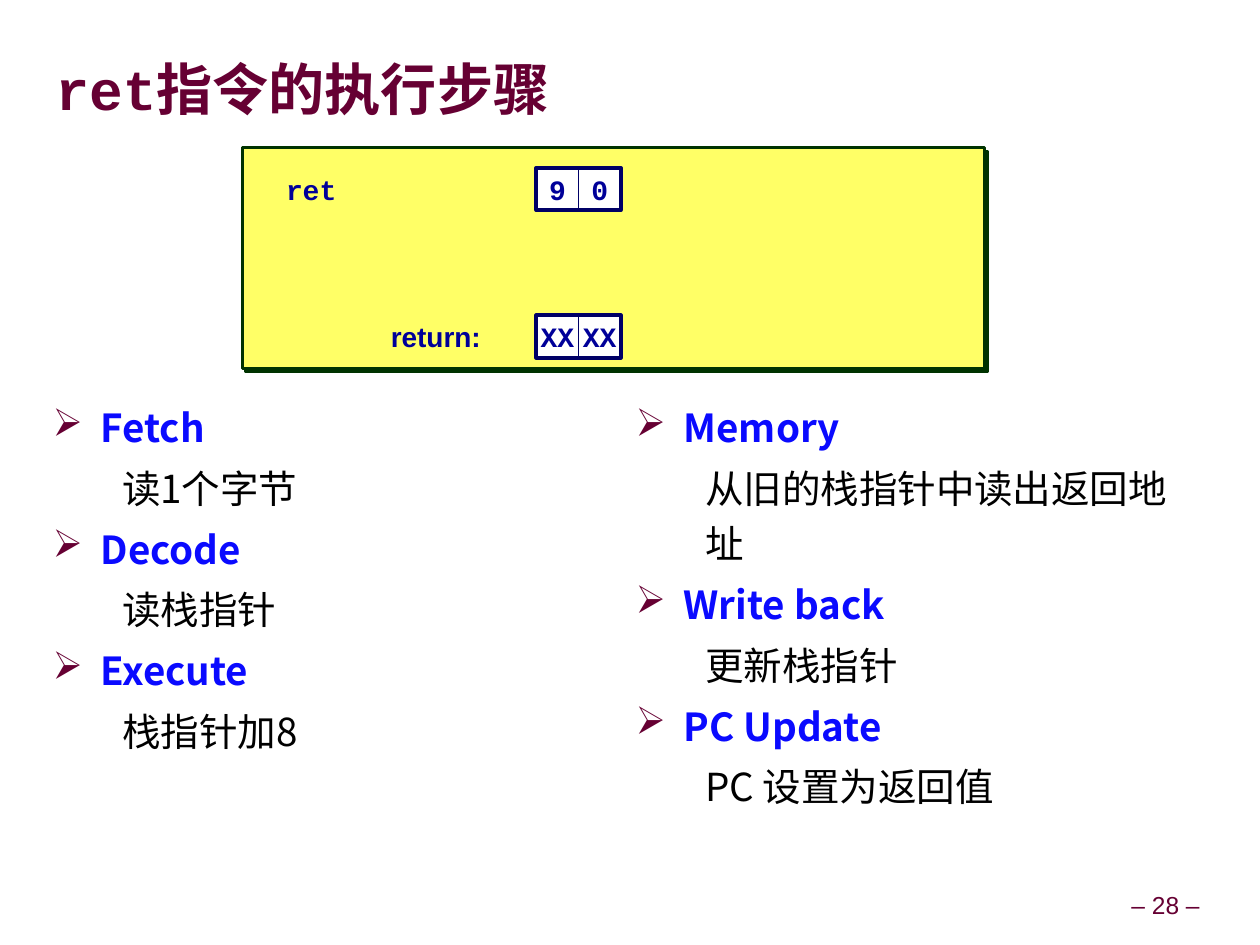
from lxml import etree
from pptx import Presentation
from pptx.dml.color import RGBColor
from pptx.enum.shapes import MSO_SHAPE
from pptx.enum.text import MSO_ANCHOR, PP_ALIGN
from pptx.oxml.ns import qn
from pptx.util import Cm, Pt

RECTANGLE = MSO_SHAPE.RECTANGLE
MIDDLE, TOP = MSO_ANCHOR.MIDDLE, MSO_ANCHOR.TOP
LEFT, CENTER = PP_ALIGN.LEFT, PP_ALIGN.CENTER

MAROON = RGBColor(0x66, 0x00, 0x33)
BLUE = RGBColor(0x0A, 0x0A, 0xFF)
BLACK = RGBColor(0x00, 0x00, 0x00)
WHITE = RGBColor(0xFF, 0xFF, 0xFF)
YELLOW = RGBColor(0xFF, 0xFF, 0x66)
GREEN = RGBColor(0x00, 0x33, 0x00)
NAVY = RGBColor(0x00, 0x00, 0x66)
CODE_BLUE = RGBColor(0x00, 0x00, 0x99)

MONO, SANS, CHINESE = "Courier New", "Arial", "Noto Sans CJK SC"
BYTE_SIZE = 0.85
BYTE_LEFT = 10.8

LEFT_STAGES = [("Fetch", "读1个字节"), ("Decode", "读栈指针"), ("Execute", "栈指针加8")]
RIGHT_STAGES = [
    ("Memory", "从旧的栈指针中读出返回地址"),
    ("Write back", "更新栈指针"),
    ("PC Update", "PC 设置为返回值"),
]


def format_runs(paragraph, font_name, size, color, bold):
    for run in paragraph.runs:
        run.font.name = font_name
        run.font.size = Pt(size)
        run.font.bold = bold
        run.font.color.rgb = color
        east_asian = etree.SubElement(run.font._element, qn("a:ea"))
        east_asian.set("typeface", CHINESE)


def set_margins(text_frame, horizontal, vertical):
    text_frame.margin_left = text_frame.margin_right = Cm(horizontal)
    text_frame.margin_top = text_frame.margin_bottom = Cm(vertical)


def add_text(slide, text, left, top, width, height, font_name, size, color,
             bold=True, alignment=LEFT, margin=0.25):
    shape = slide.shapes.add_textbox(Cm(left), Cm(top), Cm(width), Cm(height))
    text_frame = shape.text_frame
    text_frame.word_wrap = False
    text_frame.vertical_anchor = MIDDLE
    set_margins(text_frame, margin, min(margin, 0.13))
    text_frame.text = text
    paragraph = text_frame.paragraphs[0]
    paragraph.alignment = alignment
    format_runs(paragraph, font_name, size, color, bold)
    return paragraph


def add_rectangle(shapes, left, top, width, height, fill, line, line_width):
    shape = shapes.add_shape(RECTANGLE, Cm(left), Cm(top), Cm(width), Cm(height))
    shape.shadow.inherit = False
    if fill is None:
        shape.fill.background()
    else:
        shape.fill.solid()
        shape.fill.fore_color.rgb = fill
    shape.line.color.rgb = line
    shape.line.width = Pt(line_width)
    return shape


def add_hard_shadow(shape, color, distance):
    effects = shape._element.spPr.find(qn("a:effectLst"))
    shadow = etree.SubElement(effects, qn("a:outerShdw"), dist=str(Pt(distance)),
                              dir="2700000", algn="ctr", rotWithShape="0")
    etree.SubElement(shadow, qn("a:srgbClr"), val=str(color))


def add_byte(slide, top, digits):
    shapes = slide.shapes.add_group_shape().shapes
    for index, digit in enumerate(digits):
        cell = add_rectangle(shapes, BYTE_LEFT + index * BYTE_SIZE, top,
                             BYTE_SIZE, BYTE_SIZE, WHITE, NAVY, 0.5)
        text_frame = cell.text_frame
        text_frame.word_wrap = False
        text_frame.vertical_anchor = MIDDLE
        set_margins(text_frame, 0, 0)
        text_frame.text = digit
        text_frame.paragraphs[0].alignment = CENTER
        format_runs(text_frame.paragraphs[0], MONO, 16, CODE_BLUE, True)
    add_rectangle(shapes, BYTE_LEFT, top, len(digits) * BYTE_SIZE, BYTE_SIZE,
                  None, NAVY, 2.25)


def set_indent(paragraph, left, first_line):
    properties = paragraph._p.get_or_add_pPr()
    properties.set("marL", str(Cm(left)))
    properties.set("indent", str(Cm(first_line)))
    return properties


def add_bullet(paragraph):
    properties = set_indent(paragraph, 0.97, -0.97)
    color = etree.SubElement(properties, qn("a:buClr"))
    etree.SubElement(color, qn("a:srgbClr"), val=str(MAROON))
    etree.SubElement(properties, qn("a:buChar"), char="➢")


def add_stages(slide, left, stages):
    shape = slide.shapes.add_textbox(Cm(left), Cm(7.82), Cm(11.3), Cm(10.03))
    text_frame = shape.text_frame
    text_frame.word_wrap = True
    text_frame.vertical_anchor = TOP
    text_frame.text = "\n".join(line for stage in stages for line in stage)
    for index, paragraph in enumerate(text_frame.paragraphs):
        is_heading = index % 2 == 0
        if is_heading:
            add_bullet(paragraph)
        else:
            paragraph.level = 1
            set_indent(paragraph, 1.4, 0)
        paragraph.line_spacing = 1.2
        if index:
            paragraph.space_before = Pt(3)
        format_runs(paragraph, CHINESE, 22, BLUE if is_heading else BLACK, is_heading)


def main():
    presentation = Presentation()
    presentation.slide_width = Cm(25.37)
    presentation.slide_height = Cm(19.02)
    slide = presentation.slides.add_slide(presentation.slide_layouts[6])

    page_number = add_text(slide, "– 28 –", 22.63, 17.86, 1.68, 0.79, SANS, 14,
                           MAROON, bold=False, alignment=CENTER, margin=0.13)
    page_number.line_spacing = 0.9
    add_text(slide, "ret指令的执行步骤", 1.12, 0.69, 23.19, 2.16, MONO, 32, MAROON,
             margin=0)
    add_stages(slide, 0.81, LEFT_STAGES)
    add_stages(slide, 12.55, RIGHT_STAGES)

    panel = add_rectangle(slide.shapes, 4.88, 2.97, 14.94, 4.45, YELLOW, GREEN, 1.5)
    add_hard_shadow(panel, GREEN, 2.8)
    add_text(slide, "ret", 5.51, 3.38, 5.28, BYTE_SIZE, MONO, 16, CODE_BLUE)
    add_byte(slide, 3.38, ["9", "0"])
    add_byte(slide, 6.35, ["XX", "XX"])
    add_text(slide, "return:", 7.62, 6.35, 3.1, BYTE_SIZE, SANS, 16, CODE_BLUE)

    presentation.save("out.pptx")


if __name__ == "__main__":
    main()
